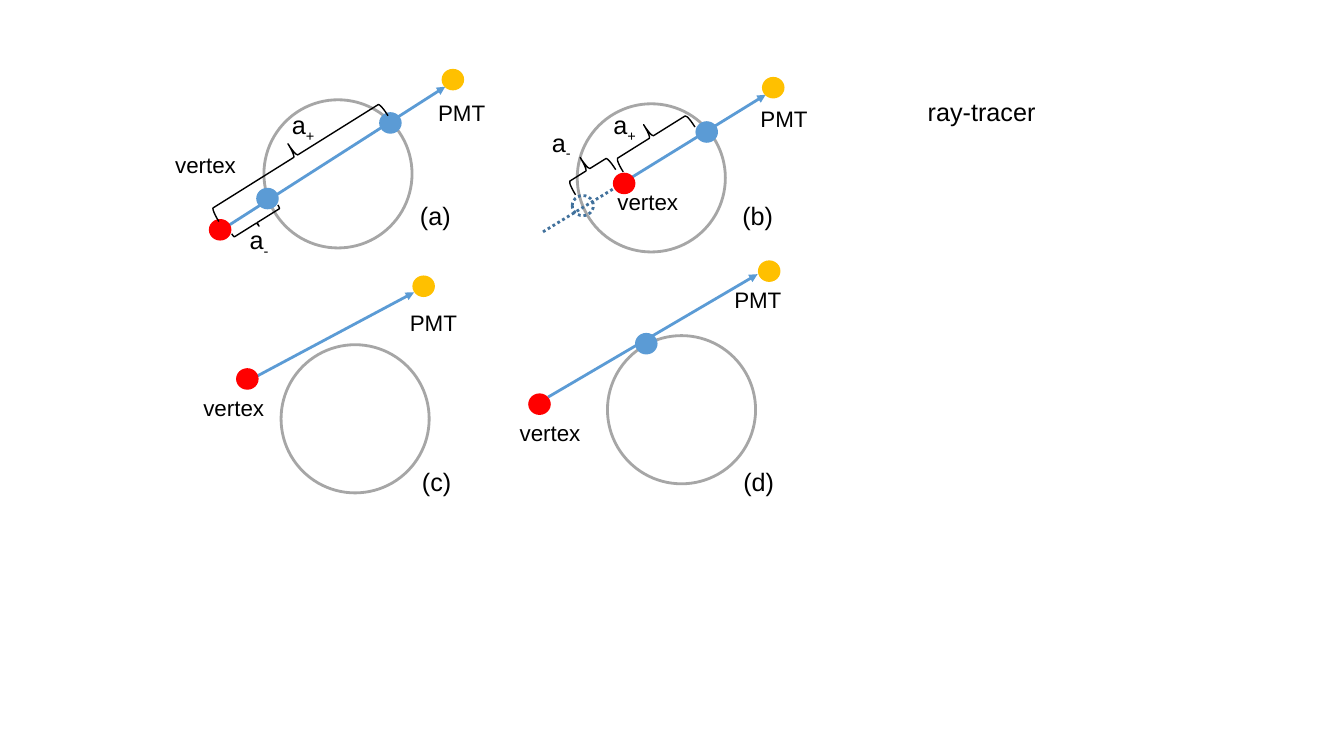
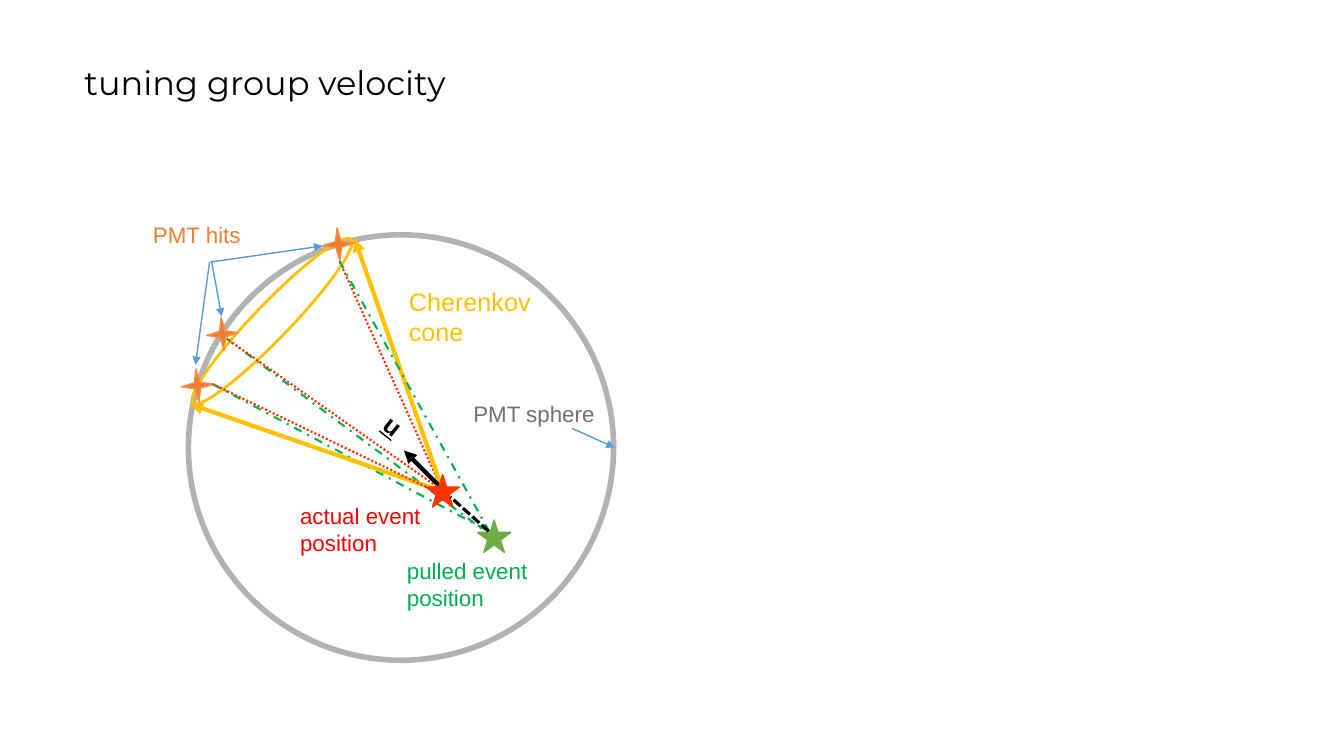
from lxml.etree import SubElement
from pptx import Presentation
from pptx.dml.color import RGBColor
from pptx.enum.dml import MSO_LINE
from pptx.enum.shapes import MSO_CONNECTOR, MSO_SHAPE
from pptx.enum.text import MSO_ANCHOR
from pptx.oxml.ns import qn
from pptx.util import Inches, Pt

BLACK = RGBColor(0x00, 0x00, 0x00)
RED = RGBColor(0xFF, 0x00, 0x00)
SCARLET = RGBColor(0xFF, 0x33, 0x00)
GOLD = RGBColor(0xFF, 0xC0, 0x00)
BLUE = RGBColor(0x5B, 0x9B, 0xD5)
DARK_BLUE = RGBColor(0x41, 0x71, 0x9C)
GREEN = RGBColor(0x00, 0xB0, 0x50)
LEAF = RGBColor(0x70, 0xAD, 0x47)
ORANGE = RGBColor(0xED, 0x7D, 0x31)
LIGHT_ORANGE = RGBColor(0xFF, 0x8D, 0x41)
RING_GRAY = RGBColor(0xA6, 0xA6, 0xA6)
SPHERE_GRAY = RGBColor(0xB2, 0xB2, 0xB2)
TEXT_GRAY = RGBColor(0x76, 0x71, 0x71)

DOT = (0.21, 0.2)
RING = (1.47, 1.47)


def add_figure(slide, kind, place, size, line, width=1, fill=None, turn=0, dash=None):
    shape = slide.shapes.add_shape(kind, *map(Inches, place + size))
    shape.shadow.inherit = False
    shape.rotation = turn
    if fill is None:
        shape.fill.background()
    else:
        shape.fill.solid()
        shape.fill.fore_color.rgb = fill
    shape.line.color.rgb = line
    shape.line.width = Pt(width)
    if dash:
        shape.line.dash_style = dash


def add_line(slide, start, end, color, width, dash=None, arrow=False):
    connector = slide.shapes.add_connector(
        MSO_CONNECTOR.STRAIGHT, *map(Inches, start + end))
    connector.line.color.rgb = color
    connector.line.width = Pt(width)
    if dash:
        connector.line.dash_style = dash
    if arrow:
        SubElement(connector.line._get_or_add_ln(), qn("a:tailEnd"), type="triangle")
    SubElement(connector._element.spPr, qn("a:effectLst"))


prs = Presentation()
prs.slide_width, prs.slide_height = Inches(13.34), Inches(7.5)
blank = prs.slide_layouts[6]
tracer = prs.slides.add_slide(blank)
velocity = prs.slides.add_slide(blank)

# Ray tracer: one ring and one ray for each of the cases (a) to (d)
for ring, start, end in [
    ((2.62, 0.99), (2.17, 2.30), (4.42, 0.86)),
    ((5.73, 1.03), (6.27, 1.76), (7.60, 0.94)),
    ((2.79, 3.42), (2.46, 3.78), (4.11, 2.90)),
    ((6.03, 3.33), (5.44, 3.94), (7.52, 2.72)),
]:
    add_figure(tracer, MSO_SHAPE.OVAL, ring, RING, RING_GRAY, 2)
    add_line(tracer, start, end, BLUE, 2, arrow=True)

# Backward extension of the ray in case (b)
add_line(tracer, (5.39, 2.3), (6.11, 1.86), DARK_BLUE, 2, MSO_LINE.ROUND_DOT)
add_figure(tracer, MSO_SHAPE.OVAL, (5.68, 1.94), DOT, DARK_BLUE, 2,
           dash=MSO_LINE.ROUND_DOT)

# Vertices, PMTs and crossings
for color, places in [
    (RED, [(2.08, 2.18), (6.09, 1.72), (2.35, 3.66), (5.25, 3.91)]),
    (GOLD, [(4.39, 0.69), (7.57, 0.77), (4.10, 2.74), (7.53, 2.59)]),
    (BLUE, [(3.77, 1.12), (2.55, 1.87), (6.91, 1.21), (6.31, 3.31)]),
]:
    for place in places:
        add_figure(tracer, MSO_SHAPE.OVAL, place, DOT, color, fill=color)

# Braces along the rays
for kind, place, size in [
    (MSO_SHAPE.LEFT_BRACE, (2.79, 0.56), (0.29, 1.98)),
    (MSO_SHAPE.RIGHT_BRACE, (2.51, 1.94), (0.08, 0.54)),
    (MSO_SHAPE.LEFT_BRACE, (6.32, 0.94), (0.29, 0.84)),
    (MSO_SHAPE.LEFT_BRACE, (5.69, 1.45), (0.29, 0.47)),
]:
    add_figure(tracer, kind, place, size, BLACK, turn=58)

# Group velocity: rays behind the sphere
for start, end, color, dash in [
    ((2.11, 3.81), (4.83, 5.26), GREEN, MSO_LINE.DASH_DOT),
    ((2.25, 3.36), (4.83, 5.28), GREEN, MSO_LINE.DASH_DOT),
    ((4.37, 4.82), (3.37, 2.59), SCARLET, MSO_LINE.ROUND_DOT),
]:
    add_line(velocity, start, end, color, 1.5, dash)

# Sphere, Cherenkov cone and direction
add_figure(velocity, MSO_SHAPE.OVAL, (1.87, 2.33), (4.22, 4.22), SPHERE_GRAY, 4)
for rim_point in [(1.89, 4.01), (3.52, 2.37)]:
    add_line(velocity, (4.4, 4.88), rim_point, GOLD, 3, arrow=True)
add_figure(velocity, MSO_SHAPE.OVAL, (1.57, 3.01), (2.26, 0.35), GOLD, 2, turn=134)
add_line(velocity, (4.36, 4.82), (4.01, 4.47), BLACK, 3, arrow=True)

# Event positions and PMT hits
for place, color in [((4.74, 5.16), LEAF), ((4.23, 4.71), SCARLET)]:
    add_figure(velocity, MSO_SHAPE.STAR_5_POINT, place, (0.33, 0.32), color, fill=color)
for place in [(1.8, 3.66), (3.2, 2.26), (2.05, 3.15)]:
    add_figure(velocity, MSO_SHAPE.STAR_4_POINT, place, (0.32, 0.33), LIGHT_ORANGE,
               fill=ORANGE, turn=355)

# Rays in front and the pull between the two positions
for start, end, color, width, dash in [
    ((3.37, 2.59), (4.86, 5.28), GREEN, 1.5, MSO_LINE.DASH_DOT),
    ((4.23, 4.83), (2.11, 3.81), SCARLET, 1.5, MSO_LINE.ROUND_DOT),
    ((4.37, 4.85), (2.25, 3.36), SCARLET, 1.5, MSO_LINE.ROUND_DOT),
    ((4.85, 5.27), (4.47, 4.93), BLACK, 2.25, MSO_LINE.SQUARE_DOT),
]:
    add_line(velocity, start, end, color, width, dash)

# Pointers from the labels
for start, end in [
    ((5.68, 4.25), (6.10, 4.44)),
    ((2.09, 2.60), (3.20, 2.44)),
    ((2.08, 2.60), (1.94, 3.62)),
    ((2.10, 2.59), (2.20, 3.14)),
]:
    add_line(velocity, start, end, BLUE, 1, arrow=True)

# Labels of both slides; a bar comes before a subscript
tracer_labels = [
    ("ray-tracer", 9.11, 0.91, 1.98, 0.4, 18, BLACK),
    ("a|+", 2.80, 1.04, 0.56, 0.44, 18, BLACK),
    ("a|-", 2.38, 2.18, 0.45, 0.44, 18, BLACK),
    ("a|+", 5.99, 1.04, 0.45, 0.44, 18, BLACK),
    ("a|-", 5.38, 1.21, 0.45, 0.44, 18, BLACK),
]
for text, places in [
    ("vertex", [(1.64, 1.45), (6.03, 1.82), (1.92, 3.86), (5.06, 4.11)]),
    ("PMT", [(4.25, 0.93), (7.45, 0.99), (3.97, 3.02), (7.19, 2.79)]),
]:
    tracer_labels += [(text, *place, 1.07, 0.37, 16, BLACK) for place in places]
for text, left, top in [("(a)", 4.07, 1.94), ("(b)", 7.27, 1.94),
                        ("(c)", 4.09, 4.58), ("(d)", 7.28, 4.58)]:
    tracer_labels.append((text, left, top, 0.55, 0.4, 18, BLACK))

velocity_labels = [
    ("tuning group velocity", 0.74, 0.11, 11.5, 1.45, 24, BLACK),
    ("PMT sphere", 4.60, 3.92, 1.45, 0.37, 16, TEXT_GRAY),
    ("actual event position", 2.88, 4.93, 1.75, 0.64, 16, RED),
    ("pulled event position", 3.94, 5.48, 1.75, 0.64, 16, GREEN),
    ("u", 3.74, 4.00, 0.27, 0.4, 18, BLACK),
    ("Cherenkov\ncone", 3.96, 2.79, 1.45, 0.7, 18, GOLD),
    ("PMT hits", 1.42, 2.14, 1.12, 0.37, 16, ORANGE),
]
for slide, labels in [(tracer, tracer_labels), (velocity, velocity_labels)]:
    for text, left, top, width, height, size, color in labels:
        label = slide.shapes.add_textbox(*map(Inches, (left, top, width, height)))
        frame = label.text_frame
        frame.word_wrap = True
        base, _, subscript = text.partition("|")
        frame.text = base
        if subscript:
            run = frame.paragraphs[0].add_run()
            run.text = subscript
            run._r.get_or_add_rPr().set("baseline", "-25000")
        is_title = slide is velocity and size == 24
        if is_title:
            frame.vertical_anchor = MSO_ANCHOR.MIDDLE
        for paragraph in frame.paragraphs:
            font = paragraph.font
            font.name = "Montserrat" if is_title else "Arial"
            font.size = Pt(size)
            font.color.rgb = color
            if is_title:
                paragraph.line_spacing = 0.9
            if text == "u":
                label.rotation = 39
                font.bold = font.underline = True

prs.save("out.pptx")
